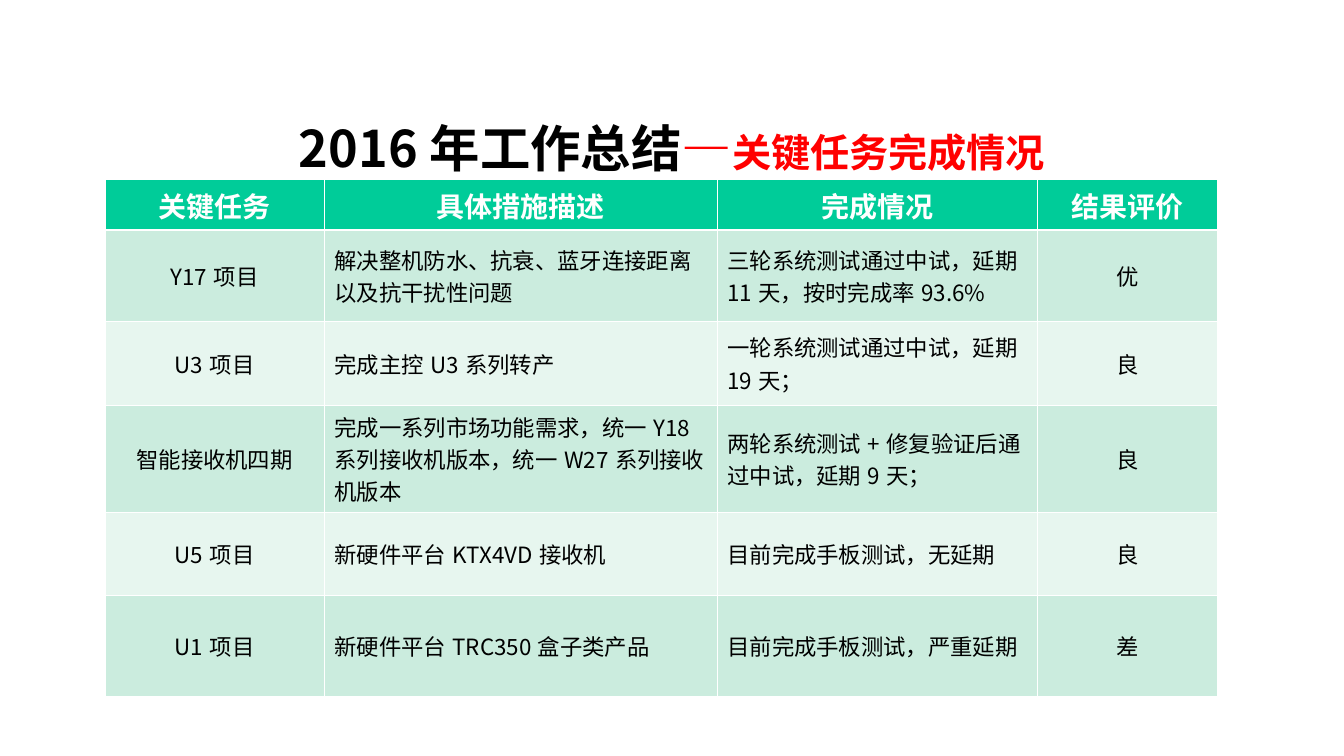
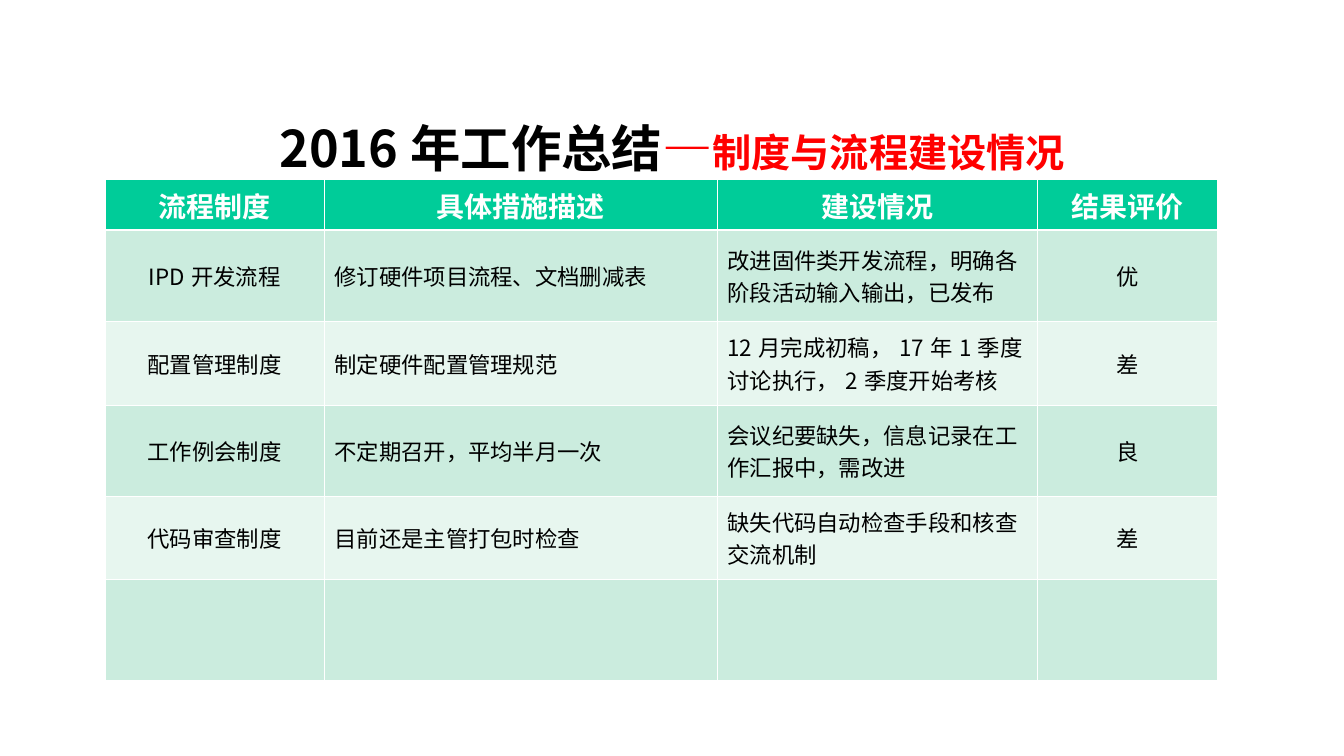
import dataclasses

import lxml.etree
import pptx
import pptx.dml.color
import pptx.enum.text
import pptx.oxml.ns
import pptx.util

PX = 9144
ALIGN = pptx.enum.text.PP_ALIGN
MIDDLE = pptx.enum.text.MSO_ANCHOR.MIDDLE
qn = pptx.oxml.ns.qn


@dataclasses.dataclass(frozen=True)
class Theme:
    """Colours, font and type sizes of the deck."""
    font: str = "Noto Sans CJK SC"
    ink: str = "000000"
    accent: str = "FF0000"
    white: str = "FFFFFF"
    header: str = "00CC99"
    bands: tuple = ("CBECDE", "E7F6EF")
    title_size: int = 36
    topic_size: int = 28
    header_size: int = 20
    body_size: int = 16
    thin: float = 0.45
    thick: float = 1.47


class Deck:
    """Builds slides in one style and keeps the current slide."""

    def __init__(self, theme, width, height):
        self.theme = theme
        self.presentation = pptx.Presentation()
        self.presentation.slide_width = width * PX
        self.presentation.slide_height = height * PX
        self.slide = None

    def new_slide(self):
        """Start a blank slide."""
        layout = self.presentation.slide_layouts[6]
        self.slide = self.presentation.slides.add_slide(layout)

    def color(self, value):
        """Turn a hex string into a colour."""
        return pptx.dml.color.RGBColor.from_string(value)

    def style(self, paragraph, size, color, bold, align):
        """Set alignment and font of a whole paragraph."""
        paragraph.alignment = align
        font = paragraph.font
        font.size = pptx.util.Pt(size)
        font.bold = bold
        font.color.rgb = self.color(color)
        font.name = self.theme.font
        defaults = paragraph._p.pPr.find(qn("a:defRPr"))
        lxml.etree.SubElement(defaults, qn("a:ea"), typeface=self.theme.font)

    def title(self, subject, topic):
        """Add the centred title with its red topic."""
        theme = self.theme
        box = self.slide.shapes.add_textbox(103 * PX, 115 * PX, 1128 * PX, 63 * PX)
        frame = box.text_frame
        frame.word_wrap = True
        frame.vertical_anchor = MIDDLE
        heading = frame.paragraphs[0]
        self.style(heading, theme.title_size, theme.ink, True, ALIGN.CENTER)
        for text, size, color in (
            (subject, theme.title_size, theme.ink),
            ("—", theme.title_size, theme.accent),
            (topic, theme.topic_size, theme.accent),
        ):
            run = heading.add_run()
            run.text = text
            run.font.size = pptx.util.Pt(size)
            run.font.color.rgb = self.color(color)

    def borders(self, cell, top, bottom):
        """Draw white borders round a cell."""
        thin = self.theme.thin
        properties = cell._tc.get_or_add_tcPr()
        for side, width in zip("LRTB", (thin, thin, top, bottom)):
            line = lxml.etree.SubElement(
                properties, qn(f"a:ln{side}"), w=str(int(pptx.util.Pt(width))))
            fill = lxml.etree.SubElement(line, qn("a:solidFill"))
            lxml.etree.SubElement(fill, qn("a:srgbClr"), val=self.theme.white)

    def table(self, records, widths, heights, centered):
        """Add a banded table whose first record is the header."""
        theme = self.theme
        table = self.slide.shapes.add_table(
            len(heights), len(widths), 104 * PX, 178 * PX,
            sum(widths) * PX, sum(heights) * PX).table
        table.horz_banding = False
        for column, width in zip(table.columns, widths):
            column.width = width * PX
        for row, height in zip(table.rows, heights):
            row.height = height * PX
        for r, record in enumerate(records):
            is_header = r == 0
            fill = theme.header if is_header else theme.bands[(r - 1) % 2]
            size = theme.header_size if is_header else theme.body_size
            ink = theme.white if is_header else theme.ink
            top = theme.thick if r == 1 else theme.thin
            bottom = theme.thick if is_header else theme.thin
            for c, text in enumerate(record):
                cell = table.cell(r, c)
                self.borders(cell, top, bottom)
                cell.fill.solid()
                cell.fill.fore_color.rgb = self.color(fill)
                cell.vertical_anchor = MIDDLE
                cell.text = text
                align = ALIGN.CENTER if is_header or c in centered else ALIGN.LEFT
                self.style(cell.text_frame.paragraphs[0], size, ink, is_header, align)


SUMMARIES = [
    ("关键任务完成情况", (50, 91, 83, 106, 83, 100), [
        ("关键任务", "具体措施描述", "完成情况", "结果评价"),
        ("Y17项目", "解决整机防水、抗衰、蓝牙连接距离以及抗干扰性问题",
         "三轮系统测试通过中试，延期11天，按时完成率93.6%", "优"),
        ("U3项目", "完成主控U3系列转产", "一轮系统测试通过中试，延期19天；", "良"),
        ("智能接收机四期",
         "完成一系列市场功能需求，统一Y18系列接收机版本，统一W27系列接收机版本",
         "两轮系统测试+修复验证后通过中试，延期9天；", "良"),
        ("U5项目", "新硬件平台KTX4VD接收机", "目前完成手板测试，无延期", "良"),
        ("U1项目", "新硬件平台TRC350盒子类产品", "目前完成手板测试，严重延期", "差"),
    ]),
    ("制度与流程建设情况", (50, 91, 83, 90, 83, 100), [
        ("流程制度", "具体措施描述", "建设情况", "结果评价"),
        ("IPD开发流程", "修订硬件项目流程、文档删减表",
         "改进固件类开发流程，明确各阶段活动输入输出，已发布", "优"),
        ("配置管理制度", "制定硬件配置管理规范",
         "12月完成初稿，17年1季度讨论执行，2季度开始考核", "差"),
        ("工作例会制度", "不定期召开，平均半月一次",
         "会议纪要缺失，信息记录在工作汇报中，需改进", "良"),
        ("代码审查制度", "目前还是主管打包时检查",
         "缺失代码自动检查手段和核查交流机制", "差"),
        ("", "", "", ""),
    ]),
]


def main():
    """Build the yearly summary and save it."""
    deck = Deck(Theme(), 1334, 750)
    for topic, heights, records in SUMMARIES:
        deck.new_slide()
        deck.title("2016年工作总结", topic)
        deck.table(records, widths=(218, 390, 318, 178),
                   heights=heights, centered=(0, 3))
    deck.presentation.save("out.pptx")


if __name__ == "__main__":
    main()
